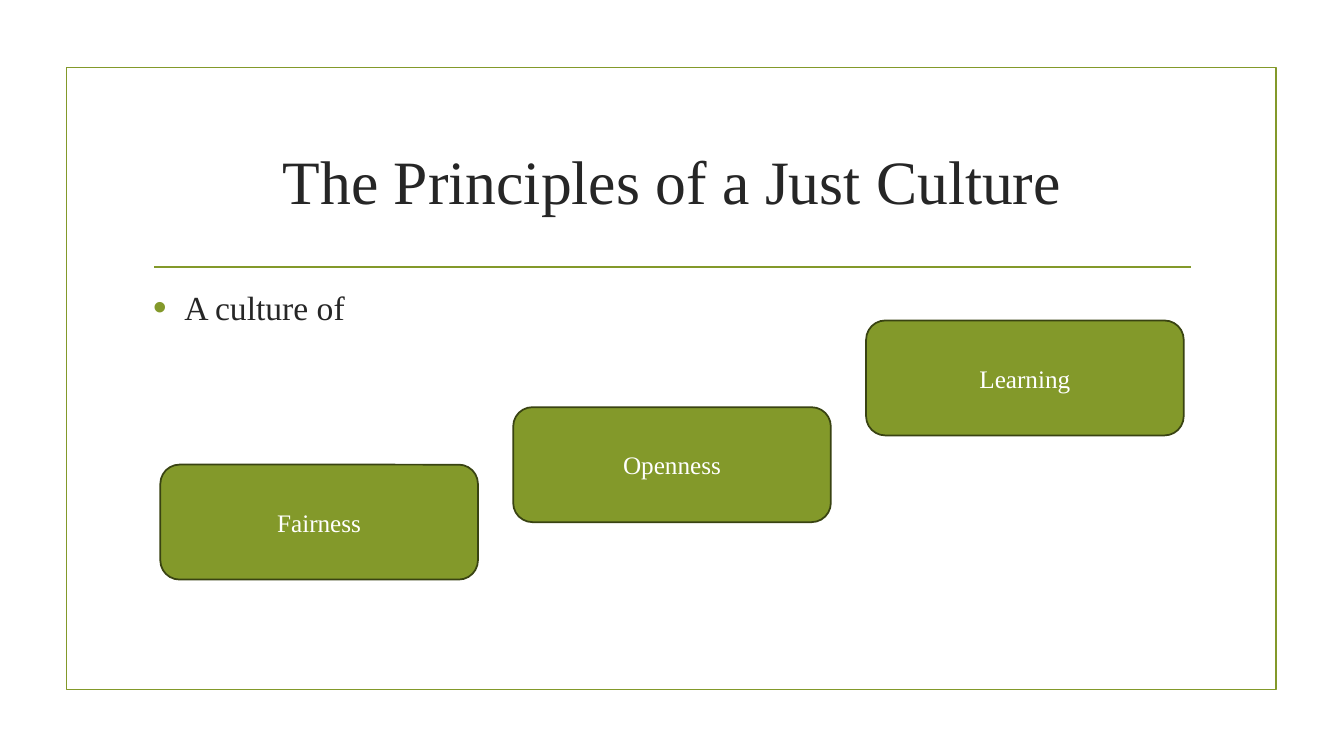
from lxml import etree
from pptx import Presentation
from pptx.dml.color import RGBColor
from pptx.enum import shapes, text
from pptx.oxml import ns
from pptx.util import Inches, Pt

FONT = "Times New Roman"
GREEN, EDGE, INK, WHITE = "83992A", "394312", "262626", "FFFFFF"


def color(code):
    return RGBColor.from_string(code)


def box(*sizes):
    return [Inches(size) for size in sizes]


class Deck:
    def __init__(self):
        self.prs = Presentation()
        self.prs.slide_width, self.prs.slide_height = box(13.33, 7.5)
        self.slide = self.prs.slides.add_slide(self.prs.slide_layouts[6])
        self.items = self.slide.shapes

    def label(self, frame, words, size, ink, align, anchor):
        frame.word_wrap = True
        frame.vertical_anchor = anchor
        frame.text = words
        para = frame.paragraphs[0]
        para.alignment = align
        font = para.runs[0].font
        font.name, font.size = FONT, Pt(size)
        font.color.rgb = color(ink)
        return para

    def stroke(self, line, ink):
        line.color.rgb = color(ink)
        line.width = Pt(1.25)

    def shape(self, kind, place, edge, fill=None):
        item = self.items.add_shape(kind, *box(*place))
        item.shadow.inherit = False
        if fill:
            item.fill.solid()
            item.fill.fore_color.rgb = color(fill)
        else:
            item.fill.background()
        self.stroke(item.line, edge)
        return item

    def frame(self, *place):
        self.shape(shapes.MSO_SHAPE.RECTANGLE, place, GREEN)

    def rule(self, *ends):
        line = self.items.add_connector(shapes.MSO_CONNECTOR.STRAIGHT, *box(*ends))
        self.stroke(line.line, GREEN)
        etree.SubElement(line._element.spPr, ns.qn("a:effectLst"))

    def title(self, words, *place):
        area = self.items.add_textbox(*box(*place))
        self.label(area.text_frame, words, 44, INK,
                   text.PP_ALIGN.CENTER, text.MSO_ANCHOR.MIDDLE)

    def bullet(self, words, *place):
        area = self.items.add_textbox(*box(*place))
        para = self.label(area.text_frame, words, 24, INK,
                          text.PP_ALIGN.LEFT, text.MSO_ANCHOR.TOP)
        para.space_before, para.space_after = Pt(4.8), Pt(6)
        props = para._p.get_or_add_pPr()
        props.set("marL", str(Inches(0.31)))
        props.set("indent", str(Inches(-0.31)))
        tint = etree.SubElement(props, ns.qn("a:buClr"))
        etree.SubElement(tint, ns.qn("a:srgbClr"), val=GREEN)
        etree.SubElement(props, ns.qn("a:buSzPct"), val="115000")
        etree.SubElement(props, ns.qn("a:buFont"), typeface="Arial")
        etree.SubElement(props, ns.qn("a:buChar"), char="•")

    def card(self, words, *place):
        item = self.shape(shapes.MSO_SHAPE.ROUNDED_RECTANGLE, place, EDGE, GREEN)
        self.label(item.text_frame, words, 18, WHITE,
                   text.PP_ALIGN.CENTER, text.MSO_ANCHOR.MIDDLE)


def main():
    deck = Deck()
    deck.frame(0.66, 0.67, 12, 6.17)
    deck.rule(1.53, 2.65, 11.81, 2.65)
    deck.title("The Principles of a Just Culture", 1.42, 1.07, 10.5, 1.43)
    deck.bullet("A culture of", 1.42, 2.8, 10.5, 3.63)
    steps = [("Fairness", 4.61), ("Openness", 4.04), ("Learning", 3.18)]
    for i, (name, top) in enumerate(steps):
        deck.card(name, 1.59 + 3.5 * i, top, 3.15, 1.14)
    deck.prs.save("out.pptx")


if __name__ == "__main__":
    main()
